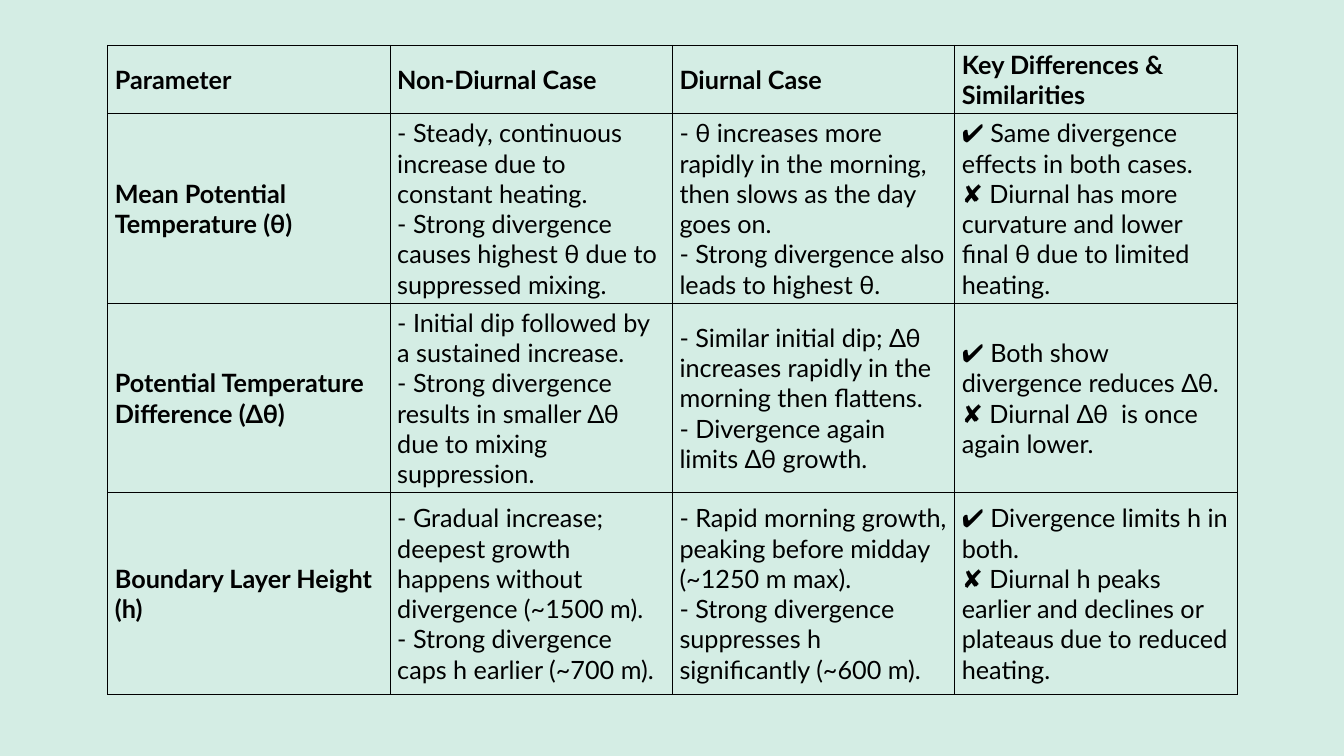
import pptx
import pptx.util
import pptx.dml.color
import pptx.enum.text
import pptx.oxml.ns
import lxml.etree
from dataclasses import dataclass

Inches = pptx.util.Inches
Pt = pptx.util.Pt


@dataclass(frozen=True)
class Theme:
    back: str = "D4EDE4"
    ink: str = "000000"
    font: str = "Lato"
    size: int = 18
    line: int = 1


HEAD = ["Parameter", "Non-Diurnal Case", "Diurnal Case",
        "Key Differences & Similarities"]
# Each row: parameter, then the lines of its three cells
ROWS = [
    ["Mean Potential Temperature (θ)",
     "- Steady, continuous increase due to constant heating.\n"
     "- Strong divergence causes highest θ due to suppressed mixing.",
     "- θ increases more rapidly in the morning, then slows as the day goes on.\n"
     "- Strong divergence also leads to highest θ.",
     "✔ Same divergence effects in both cases.\n"
     "✘ Diurnal has more curvature and lower final θ due to limited heating."],
    ["Potential Temperature Difference (Δθ)",
     "- Initial dip followed by a sustained increase.\n"
     "- Strong divergence results in smaller Δθ due to mixing suppression.",
     "- Similar initial dip; Δθ increases rapidly in the morning then flattens.\n"
     "- Divergence again limits Δθ growth.",
     "✔ Both show divergence reduces Δθ.\n"
     "✘ Diurnal Δθ  is once again lower."],
    ["Boundary Layer Height (h)",
     "- Gradual increase; deepest growth happens without divergence (~1500 m).\n"
     "- Strong divergence caps h earlier (~700 m).",
     "- Rapid morning growth, peaking before midday (~1250 m max).\n"
     "- Strong divergence suppresses h significantly (~600 m).",
     "✔ Divergence limits h in both.\n"
     "✘ Diurnal h peaks earlier and declines or plateaus due to reduced heating."],
]


def color(code):
    return pptx.dml.color.RGBColor.from_string(code)


def put_text(frame, text, *, font, size, ink, bold=False):
    """Write text into the frame, with a line break at each newline."""
    para = frame.paragraphs[0]
    for i, line in enumerate(text.split("\n")):
        if i:
            para.add_line_break()
        run = para.add_run()
        run.text = line
        run.font.name = font
        run.font.size = Pt(size)
        run.font.bold = bold
        run.font.color.rgb = color(ink)


class Page:
    def __init__(self, deck, theme):
        self.theme = theme
        self.slide = deck.slides.add_slide(deck.slide_layouts[6])
        fill = self.slide.background.fill
        fill.solid()
        fill.fore_color.rgb = color(theme.back)

    def edge(self, cell):
        """Draw a thin line on all four sides of a cell."""
        tag = pptx.oxml.ns.qn
        props = cell._tc.get_or_add_tcPr()
        for side in ("a:lnL", "a:lnR", "a:lnT", "a:lnB"):
            line = lxml.etree.SubElement(props, tag(side), w=str(Pt(self.theme.line)))
            fill = lxml.etree.SubElement(line, tag("a:solidFill"))
            lxml.etree.SubElement(fill, tag("a:srgbClr"), val=self.theme.ink)

    def cell(self, cell, text, bold):
        look = self.theme
        self.edge(cell)
        cell.fill.background()
        cell.vertical_anchor = pptx.enum.text.MSO_ANCHOR.MIDDLE
        cell.margin_left = cell.margin_right = Inches(0.07)
        cell.margin_top = cell.margin_bottom = Inches(0.04)
        put_text(cell.text_frame, text, font=look.font, size=look.size,
                 ink=look.ink, bold=bold)

    def table(self, left, top, wide, highs, data):
        cols = len(data[0])
        table = self.slide.shapes.add_table(
            len(data), cols, Inches(left), Inches(top),
            Inches(wide * cols), Inches(sum(highs))).table
        table.first_row = table.horz_banding = False
        for col in table.columns:
            col.width = Inches(wide)
        for r, (high, texts) in enumerate(zip(highs, data)):
            table.rows[r].height = Inches(high)
            for c, text in enumerate(texts):
                self.cell(table.cell(r, c), text, bold=r == 0 or c == 0)


def main():
    deck = pptx.Presentation()
    deck.slide_width = Inches(13.33)
    deck.slide_height = Inches(7.5)

    # Comparison of the two cases
    page = Page(deck, Theme())
    page.table(1.07, 0.45, 2.8, [0.64, 1.73, 1.73, 2], [HEAD] + ROWS)

    deck.save("out.pptx")


if __name__ == "__main__":
    main()
